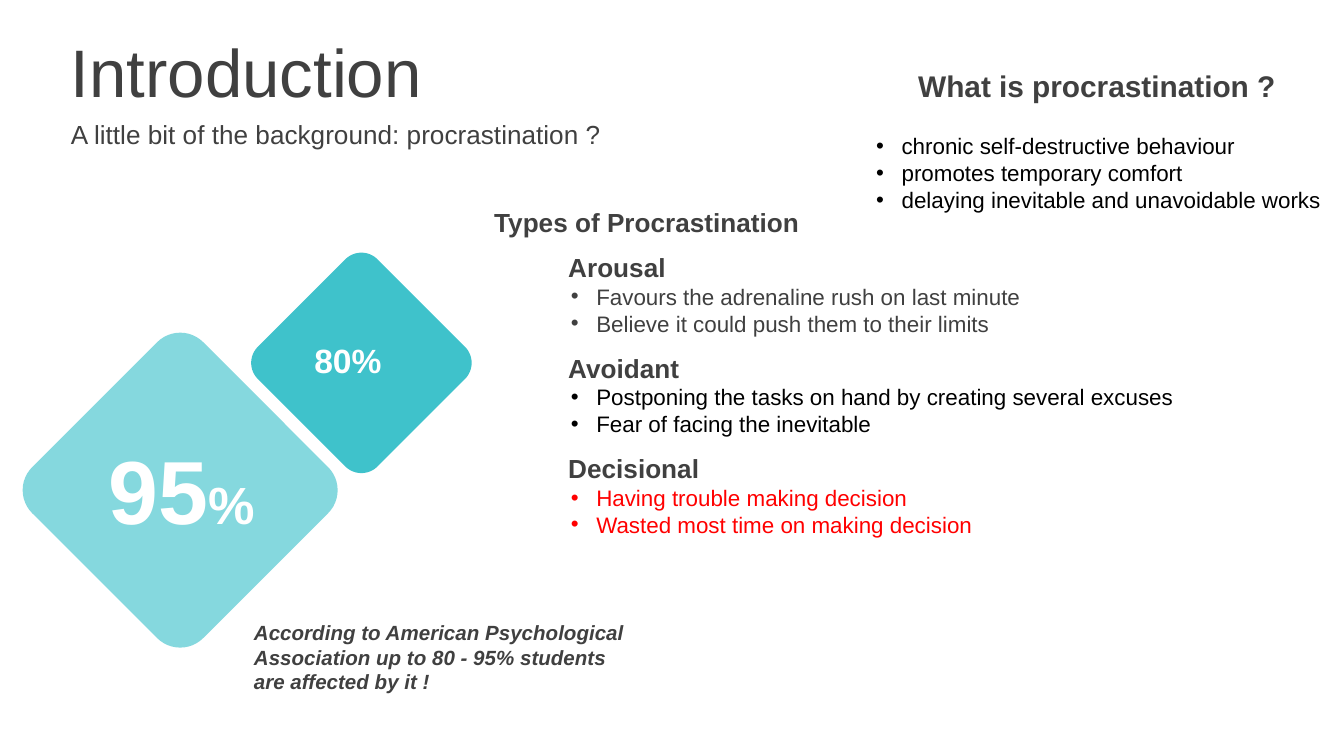
from dataclasses import dataclass

from lxml import etree
from pptx import Presentation
from pptx import util as u
from pptx.dml.color import RGBColor
from pptx.enum import shapes, text
from pptx.oxml import ns

FONT = "Arial"
GREY, BLACK, RED, WHITE = "404040", "000000", "FF0000", "FFFFFF"
LIGHT_TEAL, TEAL = "85D8DE", "3FC2CB"
BULLET_INDENT = u.Cm(0.48)
TYPE_TOP, TYPE_PITCH, LIST_OFFSET = 4.62, 1.9, 0.6


@dataclass
class Label:
    words: str
    left: float
    top: float
    width: float
    height: float
    size: int
    color: str = GREY
    bold: bool = False
    italic: bool = False
    bullets: bool = False
    wrap: bool = True
    grow: bool = True
    before: float = 0
    align: text.PP_ALIGN = text.PP_ALIGN.LEFT


@dataclass
class Diamond:
    left: float
    top: float
    side: float
    color: str


@dataclass
class ProcrastinationType:
    name: str
    traits: str
    width: float
    color: str


DIAMONDS = [
    Diamond(1.12, 6.98, 4.57, LIGHT_TEAL),
    Diamond(5.23, 5.26, 3.2, TEAL),
]

TYPES = [
    ProcrastinationType(
        "Arousal",
        "Favours the adrenaline rush on last minute\n"
        "Believe it could push them to their limits",
        9.17, GREY),
    ProcrastinationType(
        "Avoidant",
        "Postponing the tasks on hand by creating several excuses\n"
        "Fear of facing the inevitable",
        12.17, BLACK),
    ProcrastinationType(
        "Decisional",
        "Having trouble making decision\nWasted most time on making decision",
        9.04, RED),
]

LABELS = [
    Label("Introduction", 1.09, 0.53, 23.39, 1.6, 36, grow=False, before=7.2),
    Label("A little bit of the background: procrastination ?",
          1.09, 2.13, 23.39, 0.79, 14, grow=False, before=2.8),
    Label("80%", 5.69, 6.3, 1.8, 1.02, 18, WHITE, bold=True, wrap=False),
    Label("According to American Psychological Association "
          "up to 80 - 95% students are affected by it !",
          4.55, 11.58, 7.59, 1.68, 11, bold=True, italic=True),
    Label("What is procrastination ?", 14.91, 1.14, 9.45, 0.94, 16,
          bold=True, align=text.PP_ALIGN.RIGHT),
    Label("chronic self-destructive behaviour\npromotes temporary comfort\n"
          "delaying inevitable and unavoidable works",
          16.31, 2.36, 9.04, 1.8, 12, BLACK, bullets=True),
    Label("Types of Procrastination", 9.09, 3.76, 6.6, 0.86, 14, bold=True),
]


def rgb(color: str) -> RGBColor:
    return RGBColor.from_string(color)


def style_span(span, label: Label, size: int) -> None:
    span.font.name = FONT
    span.font.size = u.Pt(size)
    span.font.bold = label.bold
    span.font.italic = label.italic
    span.font.color.rgb = rgb(label.color)


def add_bullet(para) -> None:
    properties = para._p.get_or_add_pPr()
    properties.set("marL", str(BULLET_INDENT))
    properties.set("indent", str(-BULLET_INDENT))
    etree.SubElement(properties, ns.qn("a:buFont"), typeface=FONT)
    etree.SubElement(properties, ns.qn("a:buChar"), char="•")


def draw_label(page, label: Label):
    box = page.shapes.add_textbox(u.Cm(label.left), u.Cm(label.top),
                                  u.Cm(label.width), u.Cm(label.height))
    frame = box.text_frame
    frame.text = label.words
    frame.word_wrap = label.wrap
    frame.vertical_anchor = text.MSO_ANCHOR.MIDDLE
    if label.grow:
        frame.auto_size = text.MSO_AUTO_SIZE.SHAPE_TO_FIT_TEXT
    for para in frame.paragraphs:
        para.alignment = label.align
        para.space_before = u.Pt(label.before)
        if label.bullets:
            add_bullet(para)
        for span in para.runs:
            style_span(span, label, label.size)
    return box


def draw_diamond(page, diamond: Diamond) -> None:
    side = u.Cm(diamond.side)
    box = page.shapes.add_shape(shapes.MSO_SHAPE.ROUNDED_RECTANGLE,
                                u.Cm(diamond.left), u.Cm(diamond.top), side, side)
    box.adjustments[0] = 0.135
    box.rotation = 45
    box.shadow.inherit = False
    box.fill.solid()
    box.fill.fore_color.rgb = rgb(diamond.color)
    box.line.fill.background()


def draw_type(page, kind: ProcrastinationType, top: float) -> None:
    draw_label(page, Label(kind.name, 10.49, top, 4.78, 0.86, 14, bold=True))
    draw_label(page, Label(kind.traits, 10.54, top + LIST_OFFSET, kind.width,
                           1.27, 12, kind.color, bullets=True))


def draw_main_share(page) -> None:
    label = Label("95", 1.8, 8.08, 3.3, 2.31, 48, WHITE, bold=True, wrap=False)
    box = draw_label(page, label)
    span = box.text_frame.paragraphs[0].add_run()
    span.text = "%"
    style_span(span, label, 28)


def main() -> None:
    deck = Presentation()
    deck.slide_width, deck.slide_height = u.Cm(25.4), u.Cm(14.29)
    page = deck.slides.add_slide(deck.slide_layouts[6])
    for diamond in DIAMONDS:
        draw_diamond(page, diamond)
    draw_main_share(page)
    for label in LABELS:
        draw_label(page, label)
    for row, kind in enumerate(TYPES):
        draw_type(page, kind, TYPE_TOP + row * TYPE_PITCH)
    deck.save("out.pptx")


if __name__ == "__main__":
    main()
